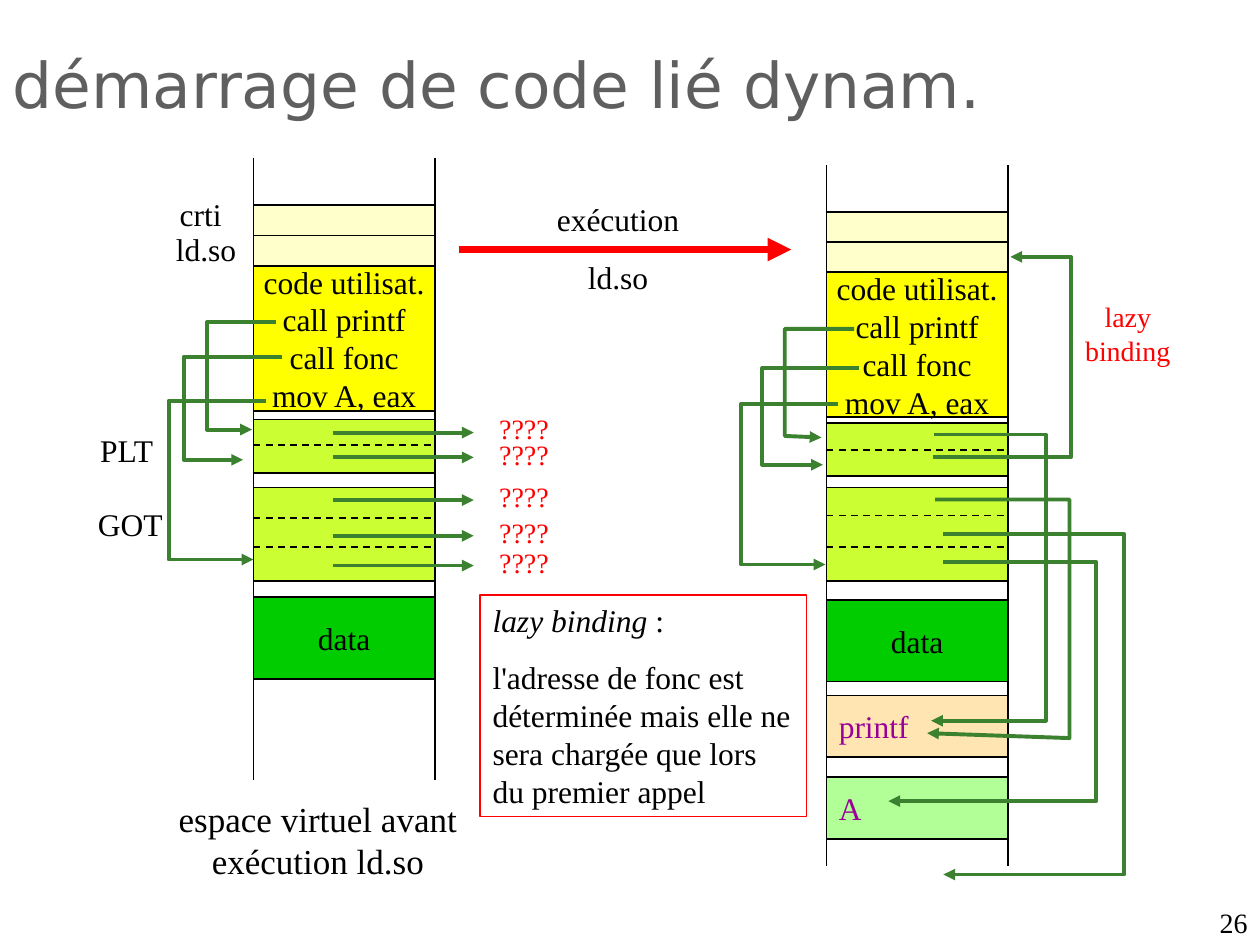
import lxml.etree
import pptx
import pptx.dml.color
import pptx.enum.dml
import pptx.enum.shapes
import pptx.enum.text
import pptx.oxml.ns
import pptx.util

Cm = pptx.util.Cm
Pt = pptx.util.Pt
ALIGN = pptx.enum.text.PP_ALIGN
ANCHOR = pptx.enum.text.MSO_ANCHOR

BLACK, RED, GREEN, PURPLE = "000000", "FF0000", "3B812F", "990099"
CREAM, YELLOW, LIME, DATA_GREEN = "FFFFCC", "FFFF00", "CCFF33", "00CC00"


def color(hex_string):
    return pptx.dml.color.RGBColor.from_string(hex_string)


def add_element(parent, tag, **attributes):
    return lxml.etree.SubElement(parent, pptx.oxml.ns.qn(tag), **attributes)


class SlideBuilder:
    """Holds the style and the current slide."""

    font = "Times New Roman"
    title_font = "DejaVu Sans"
    column_width = 3.66

    def __init__(self, presentation):
        layout = presentation.slide_layouts[5]  # title only
        self.slide = presentation.slides.add_slide(layout)
        self.shapes = self.slide.shapes

    def fill_text(self, shape, paragraphs, size=18, text_color=BLACK, align=ALIGN.CENTER,
                  anchor=ANCHOR.TOP, wrap=True, space=0, font=None):
        """Each paragraph is a list of (text, italic) runs, or a plain string."""
        frame = shape.text_frame
        frame.auto_size = pptx.enum.text.MSO_AUTO_SIZE.NONE
        frame.word_wrap = wrap
        frame.vertical_anchor = anchor
        for index, runs in enumerate(paragraphs):
            paragraph = frame.add_paragraph() if index else frame.paragraphs[0]
            paragraph.alignment = align
            paragraph.space_before = Pt(space if index else 0)
            for text, italic in [(runs, False)] if isinstance(runs, str) else runs:
                run = paragraph.add_run()
                run.text = text
                run.font.name = font or self.font
                run.font.size = Pt(size)
                run.font.italic = italic
                run.font.color.rgb = color(text_color)

    def title(self, text, left, top, width, height):
        shape = self.shapes.title
        shape.left, shape.top, shape.width, shape.height = map(Cm, (left, top, width, height))
        self.fill_text(shape, [text], 36, "5F5F5F", ALIGN.LEFT, font=self.title_font)

    def text(self, paragraphs, left, top, width, height, **style):
        shape = self.shapes.add_textbox(*map(Cm, (left, top, width, height)))
        self.fill_text(shape, paragraphs, **style)

    def box(self, left, top, width, height, fill=None, line=BLACK, alpha=None,
            paragraphs=(), **style):
        kind = pptx.enum.shapes.MSO_SHAPE.RECTANGLE
        shape = self.shapes.add_shape(kind, *map(Cm, (left, top, width, height)))
        shape.shadow.inherit = False
        shape.line.color.rgb = color(line)
        shape.line.width = Pt(1)
        if fill:
            shape.fill.solid()
            shape.fill.fore_color.rgb = color(fill)
        else:
            shape.fill.background()
        if alpha:
            fill_color = shape._element.spPr.find(".//" + pptx.oxml.ns.qn("a:srgbClr"))
            add_element(fill_color, "a:alpha", val=str(alpha * 1000))
        self.fill_text(shape, paragraphs, **style)

    def block(self, left, top, height, fill, paragraphs=(), **style):
        self.box(left, top, self.column_width, height, fill, paragraphs=paragraphs,
                 anchor=ANCHOR.MIDDLE, wrap=False, **style)

    def line(self, x1, y1, x2, y2, line=BLACK, width=1, dashed=False, arrow=False):
        kind = pptx.enum.shapes.MSO_CONNECTOR.STRAIGHT
        connector = self.shapes.add_connector(kind, *map(Cm, (x1, y1, x2, y2)))
        connector.line.color.rgb = color(line)
        connector.line.width = Pt(width)
        if dashed:
            connector.line.dash_style = pptx.enum.dml.MSO_LINE.DASH
        if arrow:
            self.arrowhead(connector)
        add_element(connector._element.spPr, "a:effectLst")

    def hook(self, start_x, start_y, bend_x, end_y, end_x, tip_shift=0):
        """Arrow that runs sideways, then up or down, then back to its target."""
        points = [(start_x, start_y), (bend_x, start_y), (bend_x, end_y),
                  (end_x, end_y + tip_shift)]
        points = [(Cm(x), Cm(y)) for x, y in points]
        builder = self.shapes.build_freeform(*points[0])
        builder.add_line_segments(points[1:], close=False)
        shape = builder.convert_to_shape()
        shape.shadow.inherit = False
        shape.fill.background()
        shape.line.color.rgb = color(GREEN)
        shape.line.width = Pt(2.25)
        self.arrowhead(shape)

    def arrowhead(self, shape):
        outline = shape._element.spPr.find(pptx.oxml.ns.qn("a:ln"))
        add_element(outline, "a:tailEnd", type="triangle")

    def memory_column(self, left, wall, tops, dashes):
        """Address space: side walls, the six common blocks and table rows."""
        right = left + self.column_width
        code = ["code utilisat.", "call printf", "call fonc", "mov A, eax"]
        blocks = [(0.61, CREAM, []), (0.61, CREAM, []), (2.92, YELLOW, code),
                  (1.07, LIME, []), (1.88, LIME, []), (1.65, DATA_GREEN, ["data"])]
        for top, (height, fill, paragraphs) in zip(tops, blocks):
            self.block(left, top, height, fill, paragraphs)
        for x in (left, right):
            self.line(x, wall[0], x, wall[1])
        for y in dashes:
            self.line(left, y, right, y, dashed=True)


def main():
    presentation = pptx.Presentation()
    presentation.slide_width, presentation.slide_height = Cm(25.4), Cm(19.05)
    builder = SlideBuilder(presentation)
    builder.title("démarrage de code lié dynam.", 0, 0.79, 20.65, 2.49)

    # Address space before and after ld.so
    before, after = 5.11, 16.66
    builder.memory_column(before, (3.18, 15.72), (4.14, 4.75, 5.36, 8.46, 9.83, 12.04),
                          (8.97, 10.44, 11.02))
    builder.memory_column(after, (3.33, 17.45), (4.27, 4.88, 5.49, 8.53, 9.83, 12.09),
                          (9.07, 10.39, 11.02))
    for text, top, fill in (("printf", 14.02, "FFCC66"), ("A", 15.67, "66FF33")):
        builder.block(after, top, 1.24, fill, [text], alpha=50,
                      text_color=PURPLE, align=ALIGN.LEFT)

    # Labels of the first column
    for text, left, top in (("crti", 3.12, 3.81), ("ld.so", 3.23, 4.52),
                            ("PLT", 1.63, 8.56), ("GOT", 1.7, 10.06)):
        builder.text([text], left, top, 1.85, 1.02)
    builder.text(["espace virtuel avant exécution ld.so"], 3.07, 15.95, 6.68, 1.96, size=20)

    # Step from one state to the other
    builder.line(9.25, 5.03, 15.95, 5.03, RED, 4.5, arrow=True)
    builder.text(["exécution", "ld.so"], 10.54, 3.91, 3.84, 2.18, space=11.2)

    # Unresolved table entries
    for y, text_top in ((8.72, 8.18), (9.22, 8.69), (10.08, 9.55),
                        (10.8, 10.26), (11.4, 10.87)):
        builder.line(6.71, y, 9.55, y, GREEN, 2.25, arrow=True)
        builder.text(["????"], 9.55, text_top, 2.03, 0.94, size=16, text_color=RED)

    # Code to tables, before and after
    hooks = [(5.56, 6.5, 4.17, 8.66, 5.08), (5.69, 7.19, 3.71, 9.27, 4.9),
             (5.36, 8.08, 3.4, 11.28, 5.11),
             (17.22, 6.63, 15.82, 8.79, 16.56, 0.03), (17.32, 7.42, 15.37, 9.37, 16.59),
             (16.89, 8.15, 14.94, 11.38, 16.64)]
    # Resolved table entries to their targets
    hooks += [(18.82, 8.76, 21.08, 14.53, 18.77), (18.8, 9.22, 21.59, 5.18, 20.37),
              (18.85, 10.07, 21.56, 14.88, 18.69, -0.1),
              (19.02, 11.33, 22.1, 16.15, 17.91), (19.02, 10.77, 22.66, 17.63, 19.02)]
    for hook in hooks:
        builder.hook(*hook)

    # Lazy binding label and note
    builder.text(["lazy binding"], 21.44, 5.92, 2.59, 1.63, size=16, text_color=RED)
    note = [[("lazy binding", True), (" :", False)],
            "l'adresse de fonc est déterminée mais elle ne sera chargée que lors "
            "du premier appel"]
    builder.box(9.68, 11.99, 6.58, 4.47, line=RED, paragraphs=note,
                align=ALIGN.LEFT, space=11.2)

    # Page number
    builder.text(["26"], 19.48, 18.14, 5.92, 0.91, size=16, align=ALIGN.RIGHT,
                 anchor=ANCHOR.BOTTOM)
    presentation.save("out.pptx")


if __name__ == "__main__":
    main()
